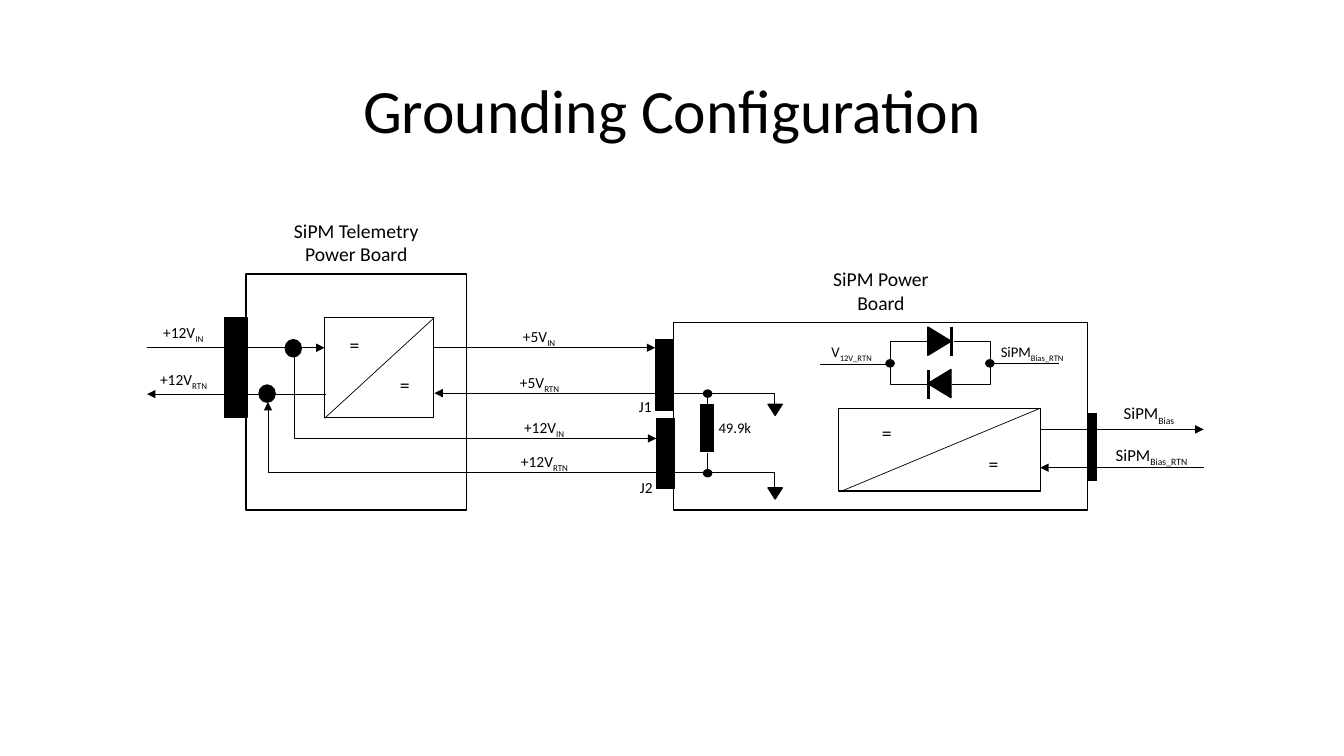
from pptx import Presentation
from pptx.dml.color import RGBColor
from pptx.enum.shapes import MSO_CONNECTOR, MSO_SHAPE
from pptx.enum.text import MSO_ANCHOR, MSO_AUTO_SIZE, PP_ALIGN
from pptx.oxml.ns import qn
from pptx.util import Cm, Pt
from lxml.etree import SubElement

# Content: all places are on a grid of 2.54 cm units
GRID = 2.54
FONT = "Calibri"
HEX = {"ink": "000000"}
TITLE = "Grounding Configuration"

# Wire rows: supply, return, second supply, second return
R1, R2, R3, R4 = 3.45, 3.9, 4.35, 4.69

# Outlined boxes: left, top, width, height
FRAMES = [
    (2.44, 2.72, 2.19, 2.34), (3.22, 3.15, 1.08, 0.99),
    (6.68, 3.2, 4.11, 1.86), (8.32, 4.05, 2, 0.82),
]

# Solid parts: plugs and resistor
BARS = [
    (2.23, 3.15, 0.22, 0.99), (6.5, 3.37, 0.18, 0.7), (6.51, 4.15, 0.18, 0.7),
    (6.95, 4.02, 0.13, 0.46), (10.8, 4.1, 0.08, 0.67),
]

# Joints: left, top, width, height
DOTS = [
    (2.83, 3.37, 0.16, 0.17), (2.57, 3.82, 0.16, 0.17),
    (8.79, 3.57, 0.08, 0.07), (9.78, 3.57, 0.08, 0.07),
    (6.98, 3.87, 0.08, 0.07), (6.98, 4.66, 0.08, 0.07),
]

# Diodes and ground signs: box, turn
WEDGES = [
    ((9.18, 3.27, 0.28, 0.23), 90), ((9.18, 3.69, 0.28, 0.23), 270),
    ((7.62, 4.01, 0.14, 0.11), 180), ((7.62, 4.84, 0.14, 0.11), 180),
]

# Straight wires: start, end, arrow at end, weight
WIRES = [
    ((4.31, 3.15), (3.22, 4.15), False, 0.5),
    ((10.32, 4.05), (8.33, 4.88), False, 0.5),
    ((1.46, R1), (3.22, R1), True, 0.5),
    ((3.23, 3.91), (1.46, 3.91), True, 0.5),
    ((4.31, R1), (6.5, R1), True, 0.5),
    ((6.5, R2), (4.31, R2), True, 0.5),
    ((10.32, 4.26), (11.94, 4.26), True, 0.5),
    ((11.94, 4.64), (10.32, 4.64), True, 0.5),
    ((8.79, 3.61), (8.13, 3.61), False, 0.5),
    ((10.51, 3.6), (9.86, 3.6), False, 0.5),
    ((9.44, 3.24), (9.44, 3.53), False, 2.25),
    ((9.21, 3.67), (9.21, 3.96), False, 2.25),
]

# Wires with one corner, level part first: start, end, arrow end
BENDS = [
    ((6.51, R3), (2.92, 3.54), "headEnd"),
    ((6.5, R4), (2.66, 3.99), "tailEnd"),
    ((6.48, R2), (7.02, 4.02), None),
    ((6.5, R4), (7.02, 4.49), None),
    ((7.06, R2), (7.68, 4.01), None),
    ((7.06, R4), (7.68, 4.84), None),
]

# Wires with two corners: start, end, x of the upright part
LOOPS = [
    ((9.22, 3.81), (9.21, 3.39), 8.83),
    ((9.44, 3.81), (9.46, 3.39), 9.82),
]

# Labels: box, size, text, subscript
LABELS = [
    ((1.52, 3.16, 0.62, 0.29), 11, "+12V", "IN"),
    ((1.49, 3.62, 0.7, 0.29), 11, "+12V", "RTN"),
    ((5.09, 3.2, 0.54, 0.29), 11, "+5V", "IN"),
    ((5.06, 3.65, 0.62, 0.29), 11, "+5V", "RTN"),
    ((5.1, 4.1, 0.62, 0.29), 11, "+12V", "IN"),
    ((5.07, 4.44, 0.7, 0.29), 11, "+12V", "RTN"),
    ((6.24, 3.89, 0.33, 0.29), 11, "J1", ""),
    ((6.25, 4.69, 0.33, 0.29), 11, "J2", ""),
    ((7.03, 4.11, 0.55, 0.29), 10.5, "49.9k", ""),
    ((8.15, 3.35, 0.68, 0.29), 10.5, "V", "12V_RTN"),
    ((9.83, 3.35, 0.88, 0.28), 10.5, "SiPM", "Bias_RTN"),
    ((11.05, 3.95, 0.73, 0.3), 12, "SiPM", "Bias"),
    ((10.97, 4.36, 0.98, 0.3), 12, "SiPM", "Bias_RTN"),
]
SIGNS = [(3.37, 3.25), (3.87, 3.65), (8.65, 4.13), (9.71, 4.43)]
HEADS = [
    ((2.81, 2.12, 1.45, 0.57), ("SiPM Telemetry", "Power Board")),
    ((8.16, 2.6, 1.16, 0.57), ("SiPM Power", "Board")),
]


def cm(*nums):
    return [Cm(n * GRID) for n in nums]


def ink(name="ink"):
    return RGBColor.from_string(HEX[name])


def add_run(para, text, size, base=None):
    run = para.add_run()
    run.text = text
    run.font.name = FONT
    run.font.size = Pt(size)
    run.font.color.rgb = ink()
    if base:
        run.font._element.set("baseline", str(base))


def add_part(kind, box, solid=True, turn=0):
    part = slide.shapes.add_shape(kind, *cm(*box))
    part.shadow.inherit = False
    part.rotation = turn
    if solid:
        part.fill.solid()
        part.fill.fore_color.rgb = ink()
    else:
        part.fill.background()
    part.line.color.rgb = ink()
    part.line.width = Pt(1)


def add_wire(start, end, tip=None, weight=0.5, kind=MSO_CONNECTOR.STRAIGHT):
    wire = slide.shapes.add_connector(kind, *cm(*start, *end))
    wire.line.color.rgb = ink()
    wire.line.width = Pt(weight)
    props = wire._element.spPr
    if tip:
        SubElement(props.find(qn("a:ln")), qn("a:" + tip), type="triangle")
    SubElement(props, qn("a:effectLst"))
    return props.find(qn("a:prstGeom"))


def add_text(box, align=PP_ALIGN.LEFT):
    frame = slide.shapes.add_textbox(*cm(*box)).text_frame
    frame.word_wrap = False
    frame.auto_size = MSO_AUTO_SIZE.SHAPE_TO_FIT_TEXT
    para = frame.paragraphs[0]
    para.alignment = align
    return para


deck = Presentation()
deck.slide_width, deck.slide_height = cm(13.333, 7.5)
slide = deck.slides.add_slide(deck.slide_layouts[5])

# Title
title = slide.shapes.title
title.left, title.top, title.width, title.height = cm(0.92, 0.4, 11.5, 1.45)
title.text_frame.vertical_anchor = MSO_ANCHOR.MIDDLE
para = title.text_frame.paragraphs[0]
para.alignment = PP_ALIGN.CENTER
para.line_spacing = 0.9
add_run(para, TITLE, 44)

# Boards, plugs, joints and diodes
for box in FRAMES:
    add_part(MSO_SHAPE.RECTANGLE, box, solid=False)
for box in BARS:
    add_part(MSO_SHAPE.RECTANGLE, box)
for box in DOTS:
    add_part(MSO_SHAPE.OVAL, box)
for box, turn in WEDGES:
    add_part(MSO_SHAPE.ISOSCELES_TRIANGLE, box, turn=turn)

# Wires
for start, end, tip, weight in WIRES:
    add_wire(start, end, "tailEnd" if tip else None, weight)
for start, end, tip in BENDS:
    add_wire(start, end, tip, kind=MSO_CONNECTOR.ELBOW).set("prst", "bentConnector2")
for start, end, mid in LOOPS:
    geom = add_wire(start, end, kind=MSO_CONNECTOR.ELBOW)
    ratio = round((mid - start[0]) / (end[0] - start[0]) * 100000)
    SubElement(geom.find(qn("a:avLst")), qn("a:gd"), name="adj1", fmla=f"val {ratio}")

# Labels
for box, size, text, sub in LABELS:
    para = add_text(box)
    add_run(para, text, size)
    if sub:
        add_run(para, sub, size, -25000)
for left, top in SIGNS:
    add_run(add_text((left, top, 0.3, 0.34)), "=", 14)
for box, (first, last) in HEADS:
    para = add_text(box, PP_ALIGN.CENTER)
    add_run(para, first, 14)
    para.add_line_break()
    add_run(para, last, 14)

deck.save("out.pptx")
